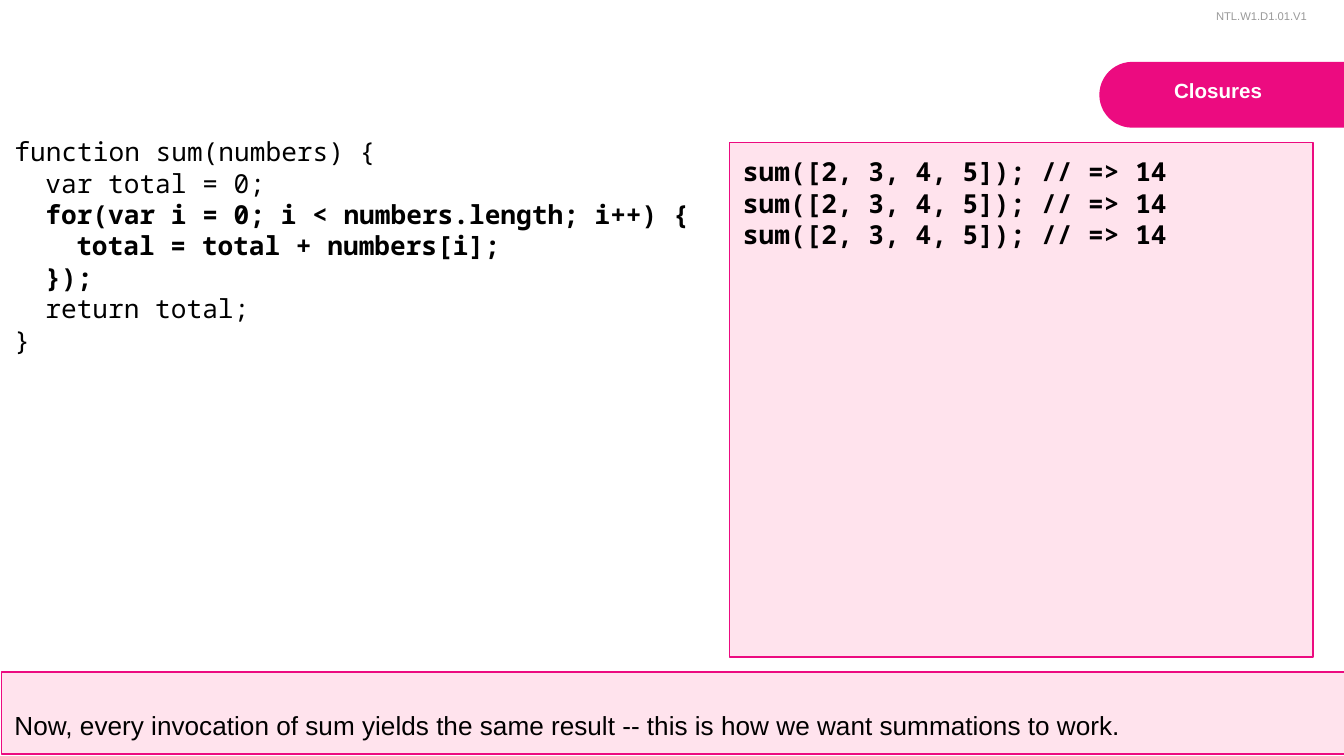
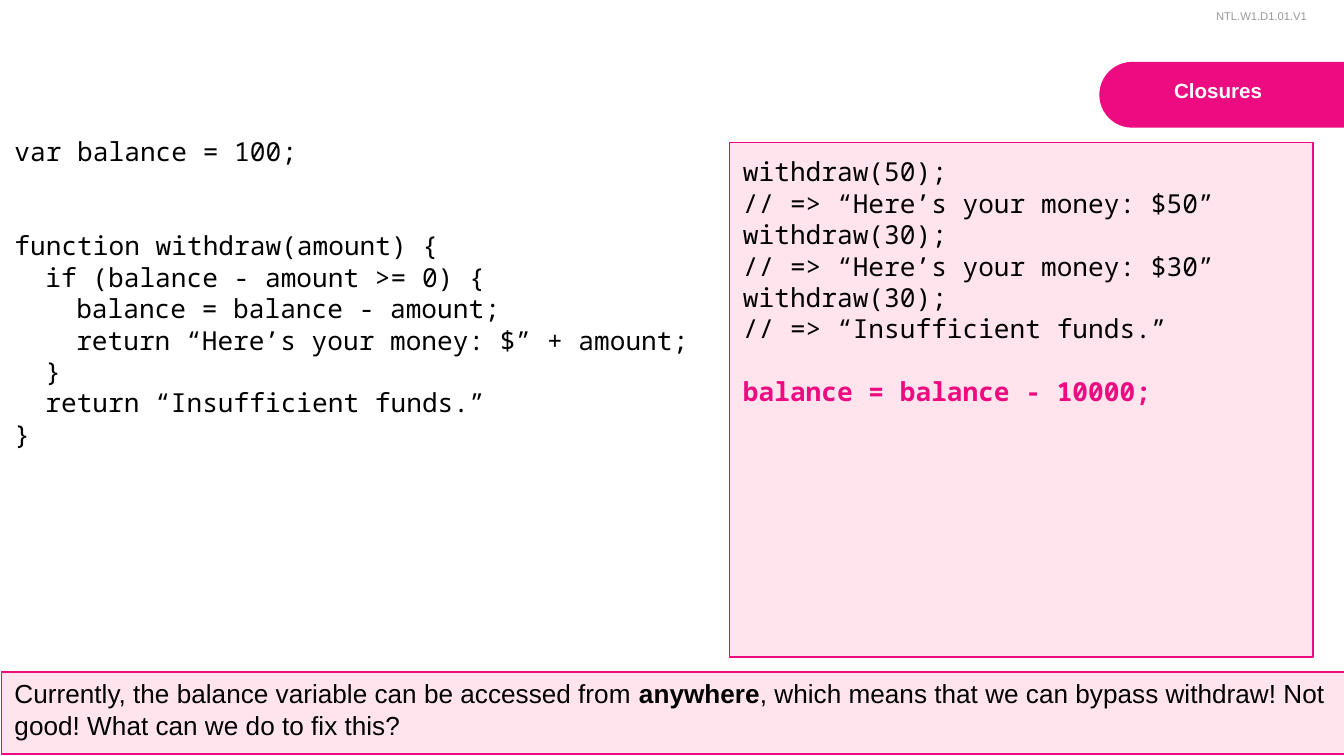
from dataclasses import dataclass

from lxml.etree import SubElement
from pptx import Presentation
from pptx.dml.color import RGBColor
from pptx.enum.shapes import MSO_SHAPE
from pptx.enum.text import MSO_ANCHOR, MSO_AUTO_SIZE, PP_ALIGN
from pptx.oxml.ns import qn
from pptx.util import Inches, Pt


@dataclass(frozen=True)
class Theme:
    pink: str = "EC0B80"
    tint: str = "FF7CAD"
    alpha: int = 21
    black: str = "000000"
    white: str = "FFFFFF"
    grey: str = "999999"
    sans: str = "Arial"
    mono: str = "Noto Sans Mono"
    body: int = 14
    tab: int = 11
    tag: int = 6
    edge: float = 0.75
    inset: float = 0.1
    indent: float = 0.23
    row: float = 16.8


@dataclass(frozen=True)
class Font:
    name: str
    size: int
    color: str
    bold: bool = False


@dataclass(frozen=True)
class Span:
    text: str
    bold: bool = False
    color: str = ""


@dataclass(frozen=True)
class Line:
    spans: tuple
    depth: int = 0
    gap: int = 0


THEME = Theme()
BODY = Font(THEME.sans, THEME.body, THEME.black)
CODE = Font(THEME.mono, THEME.body, THEME.black)
TAB = Font(THEME.sans, THEME.tab, THEME.white, True)
TAG = Font(THEME.sans, THEME.tag, THEME.grey)


def line(text, depth=0, gap=0, bold=False, color=""):
    return Line((Span(text, bold, color),), depth, gap)


def write(shape, lines, font, align=PP_ALIGN.LEFT, anchor=MSO_ANCHOR.TOP, pitch=None):
    frame = shape.text_frame
    frame.word_wrap = True
    frame.vertical_anchor = anchor
    frame.margin_left = frame.margin_right = Inches(THEME.inset)
    frame.margin_top = frame.margin_bottom = Inches(THEME.inset)
    for i, item in enumerate(lines):
        para = frame.add_paragraph() if i else frame.paragraphs[0]
        para.alignment = align
        if pitch:
            para.line_spacing = pitch
        if item.gap:
            para.space_before = Pt(THEME.row * item.gap)
        if item.depth:
            para._p.get_or_add_pPr().set("marL", str(Inches(THEME.indent * item.depth)))
        for span in item.spans:
            run = para.add_run()
            run.text = span.text
            run.font.name = font.name
            run.font.size = Pt(font.size)
            run.font.bold = font.bold or span.bold
            run.font.color.rgb = RGBColor.from_string(span.color or font.color)


def add_text(slide, box, lines, font, **style):
    shape = slide.shapes.add_textbox(*map(Inches, box))
    write(shape, lines, font, **style)
    shape.text_frame.auto_size = MSO_AUTO_SIZE.SHAPE_TO_FIT_TEXT


def add_solid(slide, kind, box, color):
    shape = slide.shapes.add_shape(kind, *map(Inches, box))
    shape.shadow.inherit = False
    shape.fill.solid()
    shape.fill.fore_color.rgb = RGBColor.from_string(color)
    return shape


def add_panel(slide, box, lines, font, **style):
    shape = add_solid(slide, MSO_SHAPE.RECTANGLE, box, THEME.tint)
    tone = shape._element.spPr.find(qn("a:solidFill")).find(qn("a:srgbClr"))
    SubElement(tone, qn("a:alpha"), val=str(THEME.alpha * 1000))
    shape.line.color.rgb = RGBColor.from_string(THEME.pink)
    shape.line.width = Pt(THEME.edge)
    write(shape, lines, font, **style)


def add_head(slide):
    tab = add_solid(slide, MSO_SHAPE.ROUND_2_SAME_RECTANGLE, (8.85, -0.21, 0.49, 1.83), THEME.pink)
    tab.line.fill.background()
    tab.rotation = 270
    tab.adjustments[0] = 0.5
    tab.adjustments[1] = 0
    add_text(slide, (8.06, 0.49, 2.05, 0.39), [line("Closures ")], TAB, align=PP_ALIGN.CENTER)
    add_text(slide, (8.95, 0, 0.97, 0.3), [line("NTL.W1.D1.01.V1")], TAG, pitch=1.15)


def add_lesson(deck, code, calls, note, height):
    slide = deck.slides.add_slide(deck.slide_layouts[6])
    add_head(slide)
    add_panel(slide, (0.01, 5, 10, 0.61), [note], BODY, anchor=MSO_ANCHOR.BOTTOM)
    add_panel(slide, (5.43, 1.06, 4.34, 3.83), calls, CODE)
    add_text(slide, (0.01, 0.91, 5.43, height), code, CODE)


def main():
    deck = Presentation()
    deck.slide_width = Inches(10)
    deck.slide_height = Inches(10 * 9 / 16)

    add_lesson(
        deck,
        code=[
            line("function sum(numbers) {"),
            line("var total = 0;", 1),
            line("for(var i = 0; i < numbers.length; i++) {", 1, bold=True),
            line("total = total + numbers[i];", 2, bold=True),
            line("});", 1, bold=True),
            line("return total;", 1),
            line("}"),
        ],
        calls=[line("sum([2, 3, 4, 5]); // => 14", bold=True)] * 3,
        note=line(
            "Now, every invocation of sum yields the same result -- "
            "this is how we want summations to work."
        ),
        height=3.97,
    )

    add_lesson(
        deck,
        code=[
            line("var balance = 100;"),
            line("function withdraw(amount) {", gap=2),
            line("if (balance - amount >= 0) {", 1),
            line("balance = balance - amount;", 2),
            line("return “Here’s your money: $” + amount;", 2),
            line("}", 1),
            line("return “Insufficient funds.”", 1),
            line("}"),
        ],
        calls=[
            line("withdraw(50);"),
            line("// => “Here’s your money: $50”"),
            line("withdraw(30);"),
            line("// => “Here’s your money: $30”"),
            line("withdraw(30);"),
            line("// => “Insufficient funds.”"),
            line("balance = balance - 10000;", gap=1, bold=True, color=THEME.pink),
        ],
        note=Line((
            Span("Currently, the balance variable can be accessed from "),
            Span("anywhere", bold=True),
            Span(", which means that we can bypass withdraw! Not good! What can we do to fix this?"),
        )),
        height=4.68,
    )

    deck.save("out.pptx")


if __name__ == "__main__":
    main()
